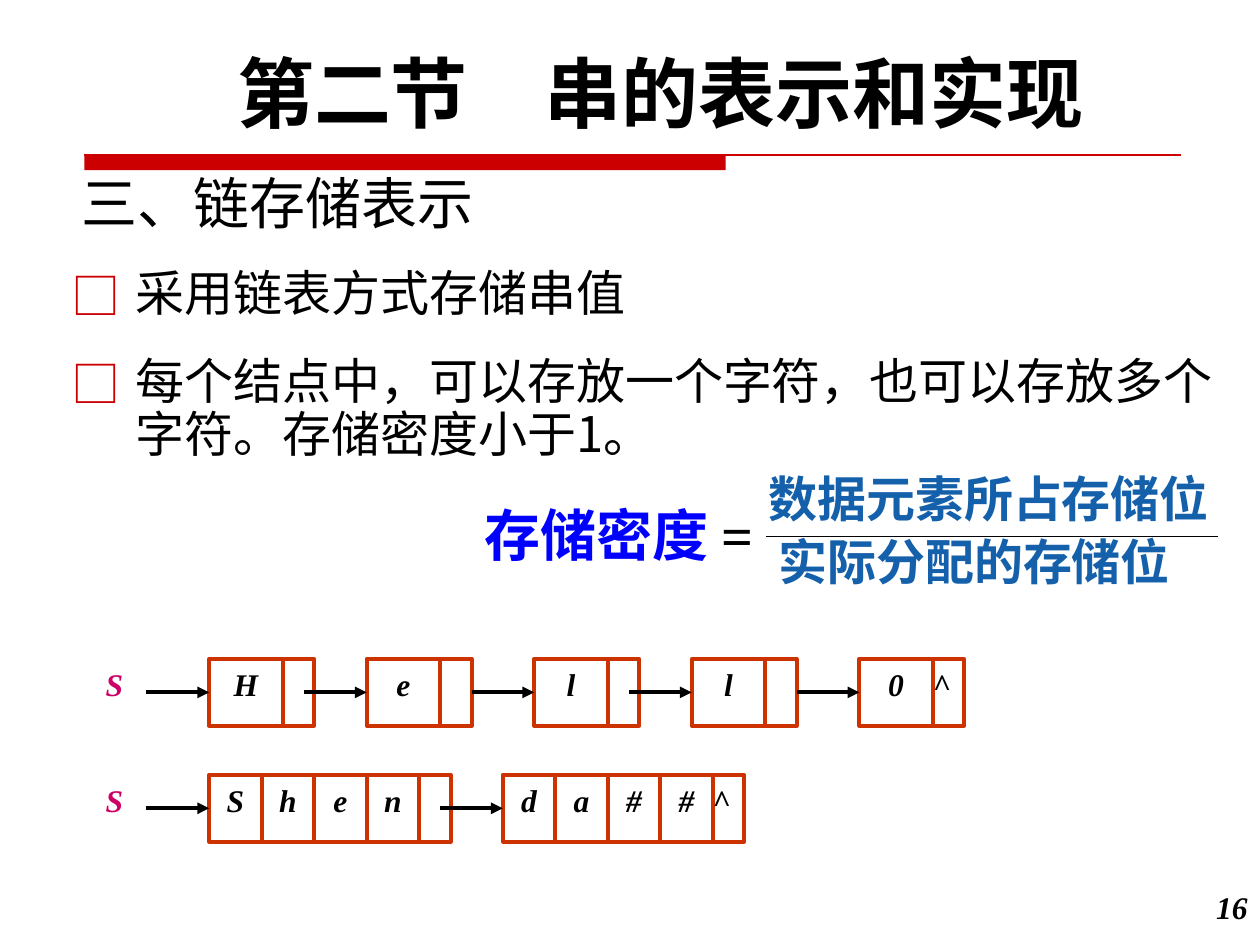
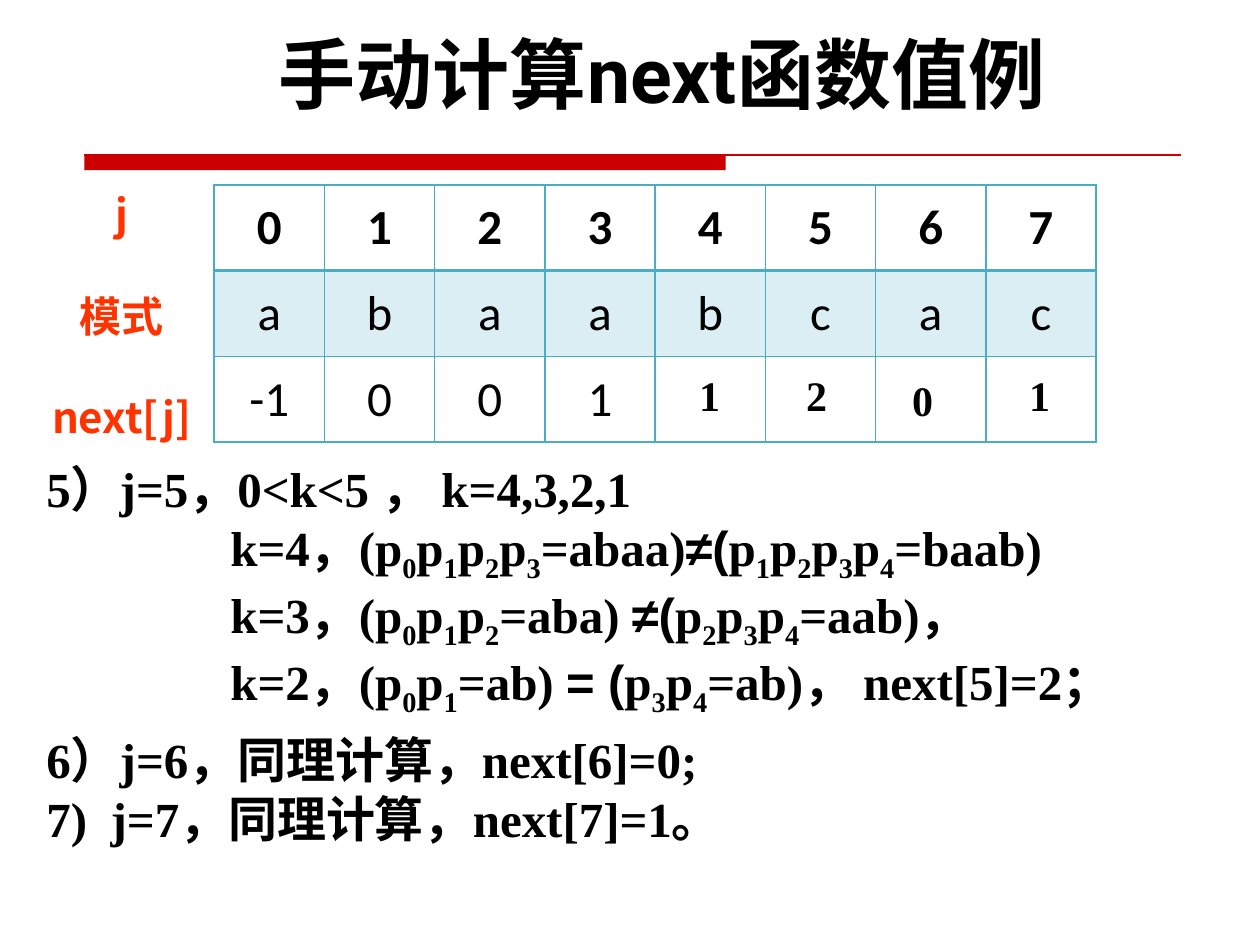
from pptx import Presentation
from pptx.dml.color import RGBColor
from pptx.enum.shapes import MSO_CONNECTOR, MSO_SHAPE
from pptx.enum.text import MSO_ANCHOR, PP_ALIGN
from pptx.oxml.ns import qn
from pptx.util import Inches, Pt
from lxml import etree

LEFT, MID, RIGHT = PP_ALIGN.LEFT, PP_ALIGN.CENTER, PP_ALIGN.RIGHT
MIDDLE, BOTTOM = MSO_ANCHOR.MIDDLE, MSO_ANCHOR.BOTTOM
RECT, LINE = MSO_SHAPE.RECTANGLE, MSO_CONNECTOR.STRAIGHT
SERIF, SANS, HEAD = "Times New Roman", "Noto Sans CJK SC", "Roboto"
BLACK, RED, BRICK, PINK = "000000", "CC0000", "CC3300", "CC0066"
BLUE, STEEL, ORANGE = "0000FF", "1560AB", "FF3300"
TEAL, PALE = "4BACC6", "DBEEF4"
NODE_H, LINK_W, ARROW = 0.53, 0.25, 0.5


def rgb(code):
    """Turn a hex string into a colour."""
    return RGBColor.from_string(code)


def sub(parent, tag, **attrs):
    """Append an XML element and return it."""
    return etree.SubElement(parent, qn(tag), attrs)


def style(run, size, color=BLACK, font=SERIF, bold=True, italic=False):
    """Format one run for both scripts."""
    face = run.font
    face.size, face.bold, face.italic = Pt(size), bold, italic
    face.color.rgb = rgb(color)
    face.name = font
    sub(run._r.get_or_add_rPr(), "a:ea", typeface=SANS)


def write(frame, lines, size, align=LEFT, **look):
    """Fill a text frame with lines of one look."""
    frame.text = "\n".join(lines)
    for para in frame.paragraphs:
        para.alignment = align
        for run in para.runs:
            style(run, size, **look)


def label(slide, box, lines, size, wrap=True, **look):
    """Add a text box and return its frame."""
    frame = slide.shapes.add_textbox(*map(Inches, box)).text_frame
    frame.word_wrap = wrap
    write(frame, lines, size, **look)
    return frame


def rule(slide, start, end, color=BLACK, width=0.75, arrow=False):
    """Add a straight line, with an arrowhead if asked."""
    line = slide.shapes.add_connector(LINE, *map(Inches, start + end))
    line.line.color.rgb = rgb(color)
    line.line.width = Pt(width)
    if arrow:
        sub(line.line._get_or_add_ln(), "a:tailEnd", type="triangle")
    sub(line._element.spPr, "a:effectLst")
    return line


def rect(slide, box):
    """Add a plain rectangle without shadow."""
    shape = slide.shapes.add_shape(RECT, *map(Inches, box))
    shape.shadow.inherit = False
    return shape


def base(deck, title, left, top):
    """Start a slide with its title and red band."""
    slide = deck.slides.add_slide(deck.slide_layouts[6])
    band = rect(slide, (0.67, 1.23, 5.09, 0.12))
    band.fill.solid()
    band.fill.fore_color.rgb = rgb(RED)
    band.line.fill.background()
    rule(slide, (0.67, 1.23), (9.37, 1.23), RED)
    label(slide, (left, top, 9.25, 0.84), [title], 44, align=MID, font=HEAD)
    return slide


def cell(slide, left, top, width, text):
    """Add one box of a list node."""
    box = rect(slide, (left, top, width, NODE_H))
    box.fill.background()
    box.line.color.rgb = rgb(BRICK)
    box.line.width = Pt(2.25)
    frame = box.text_frame
    frame.vertical_anchor = MSO_ANCHOR.TOP
    if text == "^":
        frame.margin_left = frame.margin_right = 0
    if text:
        write(frame, [text], 18, LEFT if text == "^" else MID, italic=True)
    return box


def chain(slide, top, width, nodes):
    """Draw a linked list of (left, letters) nodes after its name S."""
    label(slide, (0.74, top, 0.5, 0.5), ["S"], 18, color=PINK, italic=True)
    link, edge = None, 0
    for left, chars in nodes:
        boxes = [cell(slide, left + i * width, top, width, char)
                 for i, char in enumerate(chars)]
        start, mid = left - ARROW, top + NODE_H / 2
        arrow = rule(slide, (start, mid), (left, mid), BLACK, 2.25, True)
        if link and abs(start - edge) < 0.02:
            arrow.begin_connect(link, 3)
        arrow.end_connect(boxes[0], 1)
        edge = left + len(chars) * width
        mark = "^" if left == nodes[-1][0] else ""
        link = cell(slide, edge, top, LINK_W, mark)
        edge += LINK_W


def bullets(slide, box, lines):
    """Add a list with hollow square bullets."""
    frame = label(slide, box, lines, 28, font=SANS, bold=False)
    for i, para in enumerate(frame.paragraphs):
        para.line_spacing = 0.9
        if i:
            para.space_before = Pt(20)
        props = para._p.get_or_add_pPr()
        props.set("marL", str(Inches(0.51)))
        props.set("indent", str(-Inches(0.51)))
        sub(sub(props, "a:buClr"), "a:srgbClr", val=RED)
        sub(props, "a:buFont", typeface=SANS)
        sub(props, "a:buChar", char="□")


def ratio(slide):
    """Write the density formula as a fraction."""
    frame = label(slide, (3.75, 3.92, 2.48, 0.64), ["存储密度"], 32, False,
                  color=BLUE)
    equals = frame.paragraphs[0].add_run()
    equals.text = " ="
    style(equals, 32)
    rule(slide, (6.08, 4.26), (9.67, 4.26))
    label(slide, (6, 3.67, 3.75, 0.57), ["数据元素所占存储位"], 28, False, color=STEEL)
    label(slide, (6.08, 4.17, 3.36, 0.57), ["实际分配的存储位"], 28, False, color=STEEL)


def edges(box, top, bottom):
    """Draw the four borders of a table cell."""
    props = box._tc.get_or_add_tcPr()
    for side, width in zip("LRTB", (1, 1, top, bottom)):
        line = sub(props, "a:ln" + side, w=str(Pt(width)))
        sub(sub(line, "a:solidFill"), "a:srgbClr", val=TEAL)


def grid(slide, box, rows):
    """Add the pattern table with its shaded middle row."""
    frame = slide.shapes.add_table(len(rows), len(rows[0]), *map(Inches, box))
    table = frame.table
    table.first_row = table.horz_banding = False
    for r, row in enumerate(rows):
        for c, text in enumerate(row):
            box = table.cell(r, c)
            edges(box, 2 if r == 1 else 1, 2 if r == 0 else 1)
            box.vertical_anchor = MIDDLE
            if r == 1:
                box.fill.solid()
                box.fill.fore_color.rgb = rgb(PALE)
            else:
                box.fill.background()
            if text:
                write(box.text_frame, [text], 28, MID, font="Calibri", bold=r == 0)


def maths(para, text):
    """Write a line: _ lowers the next character, | toggles Arial."""
    for i, part in enumerate(text.split("|")):
        font = "Arial" if i % 2 else SERIF
        first, *rest = part.split("_")
        pieces = [(first, False)]
        for piece in rest:
            pieces += [(piece[0], True), (piece[1:], False)]
        for piece, low in pieces:
            if piece:
                run = para.add_run()
                run.text = piece
                style(run, 28, font=font)
                if low:
                    run._r.rPr.set("baseline", "-25000")


def steps(slide, box, head, lines):
    """Add a step with indented formula lines."""
    frame = label(slide, box, [head], 28)
    for text in lines:
        para = frame.add_paragraph()
        para._p.get_or_add_pPr().set("marL", str(Inches(1.46)))
        maths(para, text)


def storage(deck):
    """Build the slide on linked storage."""
    slide = base(deck, "第二节\u3000串的表示和实现".replace("\u3000", "　"), 0.62, 0.31)
    frame = label(slide, (0.55, 1.17, 6.25, 0.75), ["三、链存储表示"], 32,
                  font=SANS, bold=False)
    frame.vertical_anchor = BOTTOM
    label(slide, (9.33, 7, 0.67, 0.5), ["16"], 18, align=RIGHT, italic=True)
    bullets(slide, (0.47, 2.09, 9.58, 4.42), [
        "采用链表方式存储串值",
        "每个结点中，可以存放一个字符，也可以存放多个字符。存储密度小于1。"])
    chain(slide, 5.23, 7 / 12, [
        (1.66, "H"), (2.91, "e"), (4.24, "l"), (5.49, "l"), (6.82, "0")])
    chain(slide, 6.15, 5 / 12, [(1.66, "Shen"), (3.99, "da##")])
    ratio(slide)


def values(deck):
    """Build the slide on next values."""
    slide = base(deck, "手动计算next函数值例", 0.63, 0.16)
    names = label(slide, (0.27, 1.45, 1.39, 2.59), ["j", "模式", "next[j]"], 24,
                  align=MID, color=ORANGE, font=SANS)
    for para in names.paragraphs[1:]:
        para.space_before = Pt(29)
    grid(slide, (1.7, 1.47, 7, 2.04), [
        "01234567", "abaabcac", ["-1", "0", "0", "1", "", "", "", ""]])
    steps(slide, (0.27, 3.59, 9.73, 1.99), "5）j=5，0<k<5 ， k=4,3,2,1", [
        "k=4，(p_0p_1p_2p_3=abaa)|≠(|p_1p_2p_3p_4=baab)",
        "k=3，(p_0p_1p_2=aba) |≠(|p_2p_3p_4=aab)，",
        "k=2，(p_0p_1=ab) |= (|p_3p_4=ab)， next[5]=2；"])
    for left, top, text in ((5.45, 2.88, "1"), (6.3, 2.88, "2"),
                            (7.14, 2.92, "0"), (8.07, 2.88, "1")):
        label(slide, (left, top, 0.63, 0.5), [text], 24)
    last = label(slide, (0.27, 5.74, 9.73, 1.04), [
        "6）j=6，同理计算，next[6]=0;", "7)\tj=7，同理计算，next[7]=1。"], 28)
    tabs = sub(last.paragraphs[1]._p.get_or_add_pPr(), "a:tabLst")
    sub(tabs, "a:tab", pos=str(Inches(0.51)), algn="l")


def main():
    """Build and save the deck."""
    deck = Presentation()
    deck.slide_width, deck.slide_height = Inches(10), Inches(7.5)
    storage(deck)
    values(deck)
    deck.save("out.pptx")


if __name__ == "__main__":
    main()
